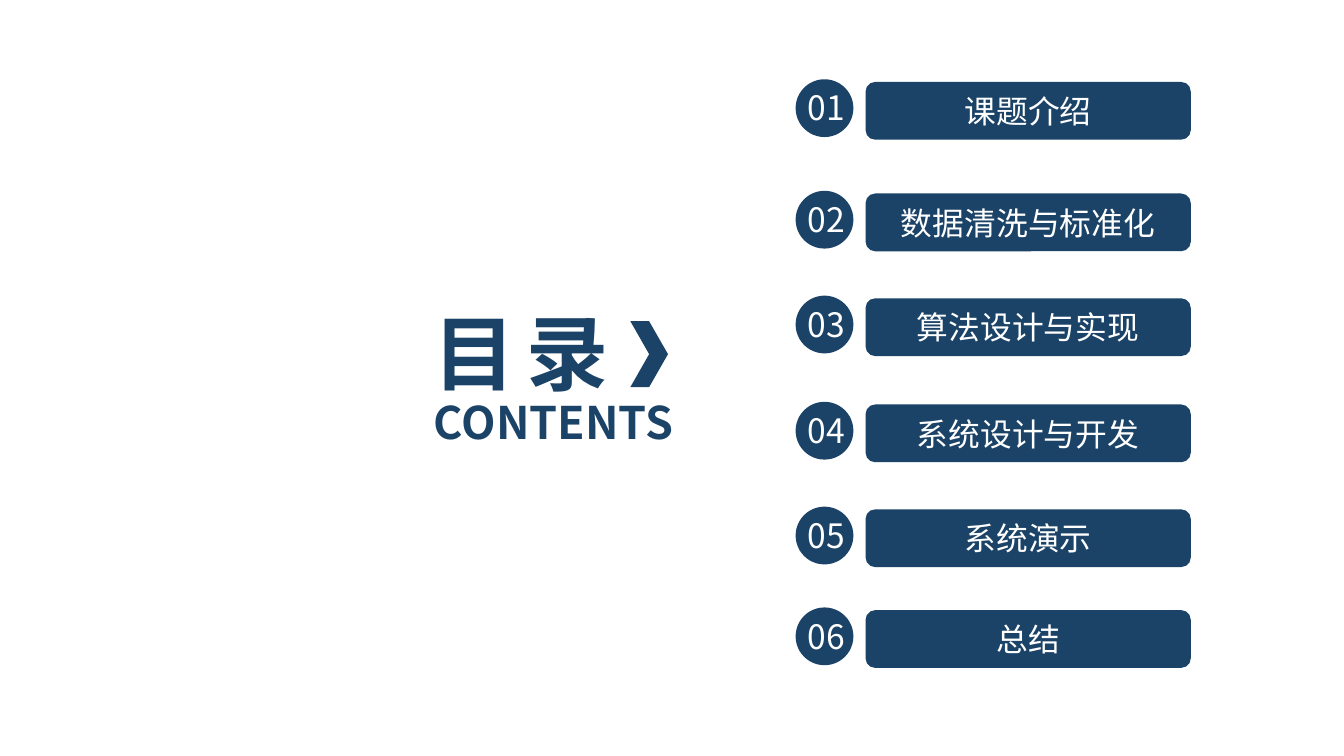
from dataclasses import dataclass

from pptx import Presentation
from pptx.dml.color import RGBColor
from pptx.enum.shapes import MSO_SHAPE
from pptx.enum.text import MSO_ANCHOR, PP_ALIGN
from pptx.shapes.autoshape import Shape
from pptx.slide import Slide
from pptx.util import Inches, Pt

NAVY = RGBColor(0x1B, 0x43, 0x67)
WHITE = RGBColor(0xFF, 0xFF, 0xFF)
FONT = "Noto Sans CJK SC"


@dataclass(frozen=True)
class Chapter:
    title: str
    top: float


CHAPTERS = [
    Chapter("课题介绍", 0.61),
    Chapter("数据清洗与标准化", 1.44),
    Chapter("算法设计与实现", 2.22),
    Chapter("系统设计与开发", 3.01),
    Chapter("系统演示", 3.79),
    Chapter("总结", 4.54),
]


def write_text(shape: Shape, text: str, *, size: float, color: RGBColor = WHITE,
               bold: bool = False, align: PP_ALIGN = PP_ALIGN.CENTER,
               spacing: float = 0) -> None:
    frame = shape.text_frame
    frame.word_wrap = True
    frame.vertical_anchor = MSO_ANCHOR.MIDDLE
    paragraph = frame.paragraphs[0]
    paragraph.alignment = align
    run = paragraph.add_run()
    run.text = text
    run.font.name = FONT
    run.font.size = Pt(size)
    run.font.bold = bold
    run.font.color.rgb = color
    # East Asian typeface and letter spacing
    properties = run.font._element
    latin = properties.find("{*}latin")
    east_asian = latin.makeelement(latin.tag.replace("latin", "ea"), {"typeface": FONT})
    latin.addnext(east_asian)
    if spacing:
        properties.set("spc", str(round(spacing * 100)))


def add_solid(shapes, kind: MSO_SHAPE, left: float, top: float,
              width: float, height: float) -> Shape:
    shape = shapes.add_shape(kind, Inches(left), Inches(top), Inches(width), Inches(height))
    shape.shadow.inherit = False
    shape.fill.solid()
    shape.fill.fore_color.rgb = NAVY
    shape.line.fill.background()
    return shape


def add_label(shapes, left: float, top: float, width: float, height: float) -> Shape:
    return shapes.add_textbox(Inches(left), Inches(top), Inches(width), Inches(height))


def add_chapter(slide: Slide, number: int, chapter: Chapter) -> None:
    bar = add_solid(slide.shapes, MSO_SHAPE.ROUNDED_RECTANGLE, 6.44, chapter.top, 2.42, 0.43)
    write_text(bar, chapter.title, size=17)
    badge = slide.shapes.add_group_shape()
    add_solid(badge.shapes, MSO_SHAPE.OVAL, 5.92, chapter.top - 0.02, 0.43, 0.43)
    label = add_label(badge.shapes, 5.89, chapter.top - 0.01, 0.52, 0.4)
    write_text(label, f"{number:02d}", size=18)


def add_heading(slide: Slide) -> None:
    title = add_label(slide.shapes, 3.13, 2.2, 2.35, 0.84)
    write_text(title, "目 录", size=44, color=NAVY, bold=True,
               align=PP_ALIGN.LEFT, spacing=-2.2)
    subtitle = add_label(slide.shapes, 3.13, 2.89, 2.31, 0.5)
    write_text(subtitle, "CONTENTS", size=24, color=NAVY, bold=True, align=PP_ALIGN.LEFT)
    add_solid(slide.shapes, MSO_SHAPE.CHEVRON, 4.69, 2.39, 0.28, 0.49)


def main() -> None:
    # Widescreen 16:9 page
    presentation = Presentation()
    presentation.slide_width = Inches(10)
    presentation.slide_height = Inches(10 * 9 / 16)
    slide = presentation.slides.add_slide(presentation.slide_layouts[6])

    # Heading on the left, numbered chapters on the right
    add_heading(slide)
    for number, chapter in enumerate(CHAPTERS, start=1):
        add_chapter(slide, number, chapter)

    presentation.save("out.pptx")


if __name__ == "__main__":
    main()
